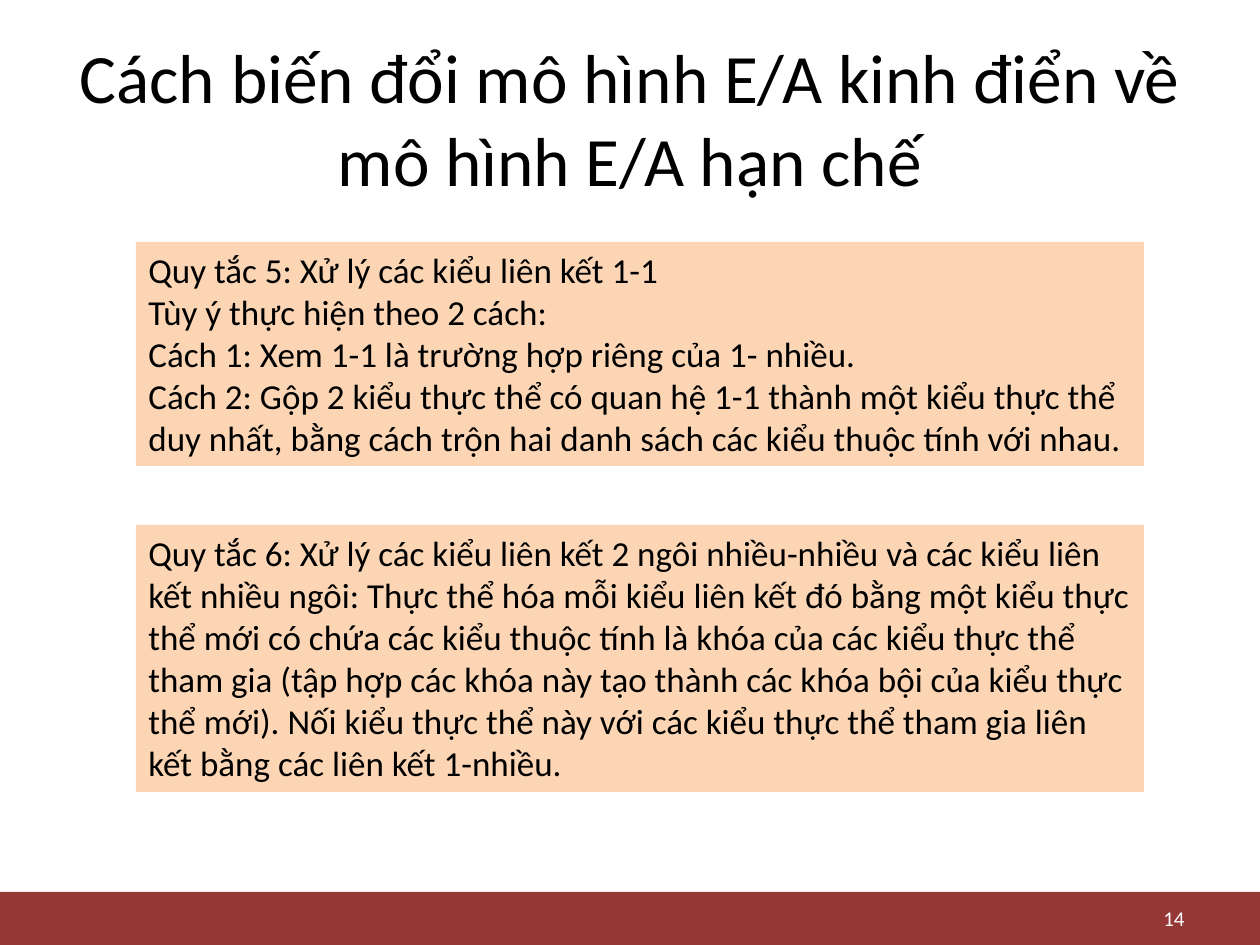
from dataclasses import dataclass

from pptx import Presentation
from pptx.dml.color import RGBColor
from pptx.enum.shapes import MSO_SHAPE
from pptx.enum.text import MSO_ANCHOR, MSO_AUTO_SIZE, PP_ALIGN
from pptx.util import Emu, Pt

SCALE = 914400 / 126  # EMU in one px


@dataclass(frozen=True)
class Theme:
    font: str = "Calibri"
    ink: str = "000000"
    light: str = "FFFFFF"
    panel: str = "FCD5B5"
    band: str = "953735"
    title: float = 39.6
    body: float = 20
    number: float = 12


THEME = Theme()

TITLE = "Cách biến đổi mô hình E/A kinh điển về mô hình E/A hạn chế"
RULE_5 = [
    "Quy tắc 5: Xử lý các kiểu liên kết 1-1",
    "Tùy ý thực hiện theo 2 cách:",
    "Cách 1: Xem 1-1 là trường hợp riêng của 1- nhiều.",
    "Cách 2: Gộp 2 kiểu thực thể có quan hệ 1-1 thành một kiểu thực thể "
    "duy nhất, bằng cách trộn hai danh sách các kiểu thuộc tính với nhau.",
]
RULE_6 = [
    "Quy tắc 6: Xử lý các kiểu liên kết 2 ngôi nhiều-nhiều và các kiểu liên "
    "kết nhiều ngôi: Thực thể hóa mỗi kiểu liên kết đó bằng một kiểu thực "
    "thể mới có chứa các kiểu thuộc tính là khóa của các kiểu thực thể "
    "tham gia (tập hợp các khóa này tạo thành các khóa bội của kiểu thực "
    "thể mới). Nối kiểu thực thể này với các kiểu thực thể tham gia liên "
    "kết bằng các liên kết 1-nhiều.",
]


def px(*sizes):
    return [Emu(round(size * SCALE)) for size in sizes]


def write(frame, lines, size, color, align, anchor):
    frame.word_wrap = True
    frame.vertical_anchor = anchor
    for i, line in enumerate(lines):
        para = frame.add_paragraph() if i else frame.paragraphs[0]
        para.alignment = align
        run = para.add_run()
        run.text = line
        run.font.name = THEME.font
        run.font.size = Pt(size)
        run.font.color.rgb = RGBColor.from_string(color)


def add_rect(slide, box, fill):
    rect = slide.shapes.add_shape(MSO_SHAPE.RECTANGLE, *px(*box))
    rect.shadow.inherit = False
    rect.fill.solid()
    rect.fill.fore_color.rgb = RGBColor.from_string(fill)
    rect.line.fill.background()
    return rect


def add_title(slide, box):
    title = slide.shapes.title
    title.left, title.top, title.width, title.height = px(*box)
    title.text_frame.auto_size = MSO_AUTO_SIZE.NONE
    write(title.text_frame, [TITLE], THEME.title, THEME.ink,
          PP_ALIGN.CENTER, MSO_ANCHOR.MIDDLE)


def add_panel(slide, box, lines):
    frame = add_rect(slide, box, THEME.panel).text_frame
    frame.auto_size = MSO_AUTO_SIZE.SHAPE_TO_FIT_TEXT
    write(frame, lines, THEME.body, THEME.ink, PP_ALIGN.LEFT, MSO_ANCHOR.TOP)


def add_footer(slide, box):
    left, top, width, height = box
    add_rect(slide, box, THEME.band)
    # Page number, set in from the right end of the band
    label = slide.shapes.add_textbox(
        *px(left + width - 357, top + 9, 294, height - 19))
    write(label.text_frame, ["14"], THEME.number, THEME.light,
          PP_ALIGN.RIGHT, MSO_ANCHOR.MIDDLE)


def main():
    deck = Presentation()
    deck.slide_width, deck.slide_height = px(1260, 945)
    slide = deck.slides.add_slide(deck.slide_layouts[5])

    # Footer band, heading, then the two rules
    add_footer(slide, (0, 892, 1260, 53))
    add_title(slide, (63, 38, 1134, 158))
    add_panel(slide, (136, 242, 1008, 224), RULE_5)
    add_panel(slide, (136, 525, 1008, 267), RULE_6)
    deck.save("out.pptx")


if __name__ == "__main__":
    main()
